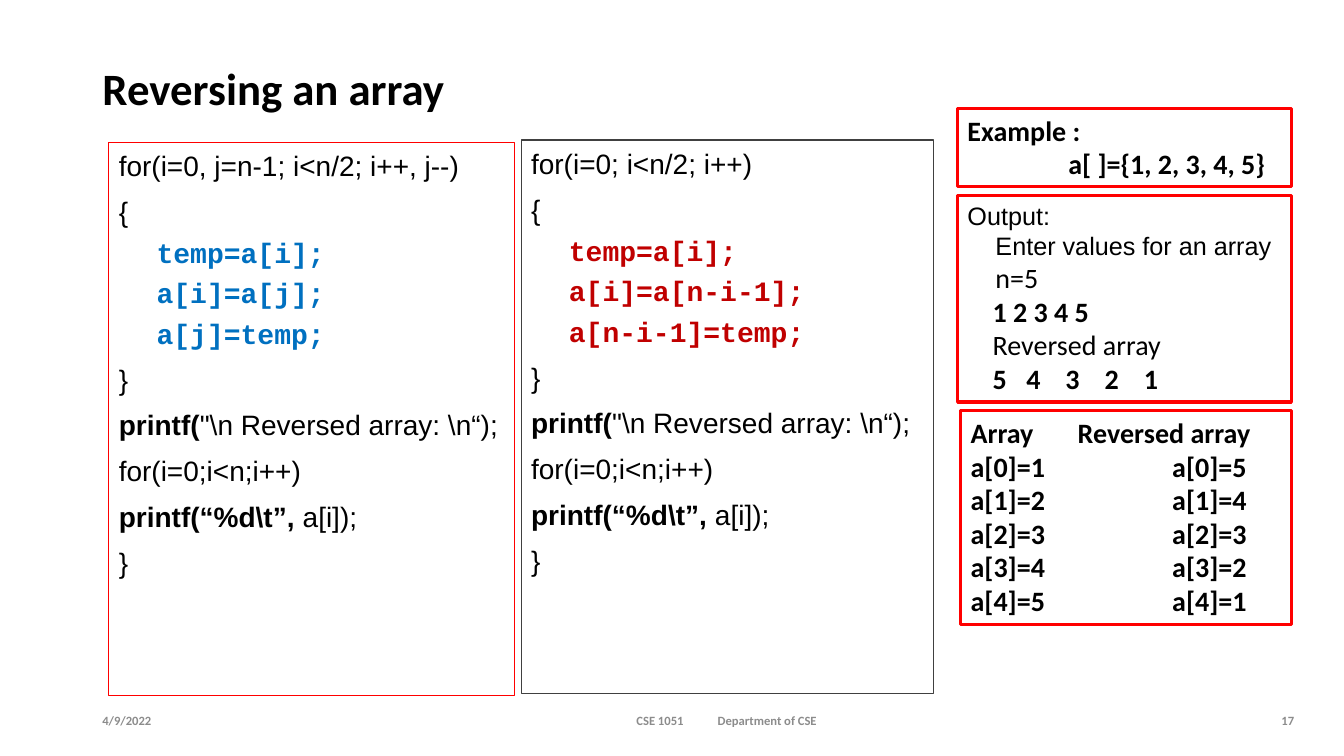
from dataclasses import dataclass

from pptx import Presentation
from pptx.dml.color import RGBColor as RGB
from pptx.enum.shapes import MSO_SHAPE as SHAPE
from pptx.enum.text import MSO_ANCHOR as ANCHOR, PP_ALIGN as ALIGN
from pptx.oxml.xmlchemy import OxmlElement
from pptx.util import Pt


@dataclass(frozen=True)
class Theme:
    black: str = "000000"
    white: str = "FFFFFF"
    red: str = "FF0000"
    dark: str = "404040"
    blue: str = "0070C0"
    crimson: str = "C00000"
    grey: str = "8C8C8C"
    title: int = 32
    body: int = 20
    output: int = 18
    footer: int = 9
    thin: float = 0.75
    thick: float = 2.25


T = Theme()
STYLES = {
    "title": ("Calibri", T.title, True, T.black),
    "code": ("Arial", T.body, False, T.black),
    "call": ("Arial", T.body, True, T.black),
    "swap_blue": ("Courier New", T.body, True, T.blue),
    "swap_red": ("Courier New", T.body, True, T.crimson),
    "out": ("Arial", T.output, False, T.black),
    "plain": ("Calibri", T.body, False, T.black),
    "bold": ("Calibri", T.body, True, T.black),
    "footer": ("Calibri", T.footer, True, T.grey),
}

TITLE = "Reversing an array"
CODE_END = [
    [("}", "code")],
    [("printf(", "call"), ("\"\\n Reversed array: \\n“);", "code")],
    [("for(i=0;i<n;i++)", "code")],
    [("printf(“%d\\t”, ", "call"), ("a[i]);", "code")],
    [("}", "code")],
]
CODES = [
    ((77.75, 101.5, 289.5, 395.3), T.red, "swap_blue",
     "for(i=0, j=n-1; i<n/2; i++, j--)",
     ["temp=a[i];", "a[i]=a[j];", "a[j]=temp;"]),
    ((372.25, 100, 294.5, 395.3), T.dark, "swap_red",
     "for(i=0; i<n/2; i++)",
     ["temp=a[i];", "a[i]=a[n-i-1];", "a[n-i-1]=temp;"]),
]
VALUES = [1, 2, 3, 4, 5]
EXAMPLE = [("Example :", "bold", []), ("\ta[ ]={1, 2, 3, 4, 5}", "bold", [72])]
OUTPUT = [
    ("Output:", "out", []),
    ("\tEnter values for an array", "out", [20]),
    ("\tn=5", "plain", [20]),
    ("\t1 2 3 4 5", "bold", [18]),
    ("\tReversed array", "plain", [18]),
    ("\t5\t4\t3\t2\t1", "bold", [18, 42, 70, 98, 126]),
]
ARRAYS = [("Array\tReversed array", "bold", [76.5])] + [
    (f"a[{i}]={a}\ta[{i}]={b}", "bold", [144])
    for i, (a, b) in enumerate(zip(VALUES, reversed(VALUES)))
]
PANELS = [
    ((684, 77.25, 238.5, 55.75), EXAMPLE),
    ((684, 139.5, 238.5, 147.75), OUTPUT),
    ((686.25, 293.25, 236.25, 152.75), ARRAYS),
]
FOOTERS = [
    (66, 91, "4/9/2022", ALIGN.LEFT, []),
    (174, 691, "\tCSE 1051\tDepartment of CSE", ALIGN.LEFT, [273.5, 331.5]),
    (894, 37.5, "17", ALIGN.RIGHT, []),
]


def style_run(r, style):
    font, size, bold, color = STYLES[style]
    r.font.name, r.font.size, r.font.bold = font, Pt(size), bold
    r.font.color.rgb = RGB.from_string(color)


def set_tabs(p, stops):
    if stops:
        tabs = OxmlElement("a:tabLst")
        for stop in stops:
            tab = OxmlElement("a:tab")
            tab.set("pos", str(Pt(stop)))
            tab.set("algn", "l")
            tabs.append(tab)
        p._p.get_or_add_pPr().append(tabs)


def add_paragraph(tf, i, spans, stops=()):
    p = tf.paragraphs[0] if i == 0 else tf.add_paragraph()
    p.alignment = ALIGN.LEFT
    set_tabs(p, stops)
    for text, style in spans:
        r = p.add_run()
        r.text = text
        style_run(r, style)
    return p


def add_box(s, place, color, width, filled):
    sp = s.shapes.add_shape(SHAPE.RECTANGLE, *map(Pt, place))
    sp.shadow.inherit = False
    if filled:
        sp.fill.solid()
        sp.fill.fore_color.rgb = RGB.from_string(T.white)
    else:
        sp.fill.background()
    sp.line.color.rgb = RGB.from_string(color)
    sp.line.width = Pt(width)
    tf = sp.text_frame
    tf.word_wrap = True
    tf.vertical_anchor = ANCHOR.TOP
    return tf


def add_title(s):
    sp = s.shapes.title
    sp.left, sp.top, sp.width, sp.height = map(Pt, (66, 40.25, 865.5, 49.75))
    tf = sp.text_frame
    tf.text = TITLE
    tf.vertical_anchor = ANCHOR.MIDDLE
    p = tf.paragraphs[0]
    p.alignment = ALIGN.LEFT
    p.line_spacing = 0.9
    style_run(p.runs[0], "title")


def add_code(s, place, color, swap, loop, swaps):
    tf = add_box(s, place, color, T.thin, False)
    lines = [[(loop, "code")], [("{", "code")]]
    lines += [[(text, swap)] for text in swaps] + CODE_END
    for i, spans in enumerate(lines):
        p = add_paragraph(tf, i, spans)
        nested = spans[0][1] == swap
        p.line_spacing = 1.05
        if i:
            p.space_before = Pt(3.8 if nested else 7.5)
        if nested:
            p.level = 1
            p._p.get_or_add_pPr().set("marL", str(Pt(27)))


def add_footer(s, left, width, text, align, stops):
    sp = s.shapes.add_textbox(Pt(left), Pt(500.5), Pt(width), Pt(28.75))
    tf = sp.text_frame
    tf.word_wrap = True
    tf.vertical_anchor = ANCHOR.MIDDLE
    add_paragraph(tf, 0, [(text, "footer")], stops).alignment = align


def main():
    """Build the slide on reversing an array."""
    prs = Presentation()
    prs.slide_width, prs.slide_height = Pt(960), Pt(540)
    s = prs.slides.add_slide(prs.slide_layouts[5])
    add_title(s)
    for code in CODES:
        add_code(s, *code)
    for place, lines in PANELS:
        tf = add_box(s, place, T.red, T.thick, lines is not ARRAYS)
        for i, (text, style, stops) in enumerate(lines):
            add_paragraph(tf, i, [(text, style)], stops)
    for footer in FOOTERS:
        add_footer(s, *footer)
    prs.save("out.pptx")


if __name__ == "__main__":
    main()
